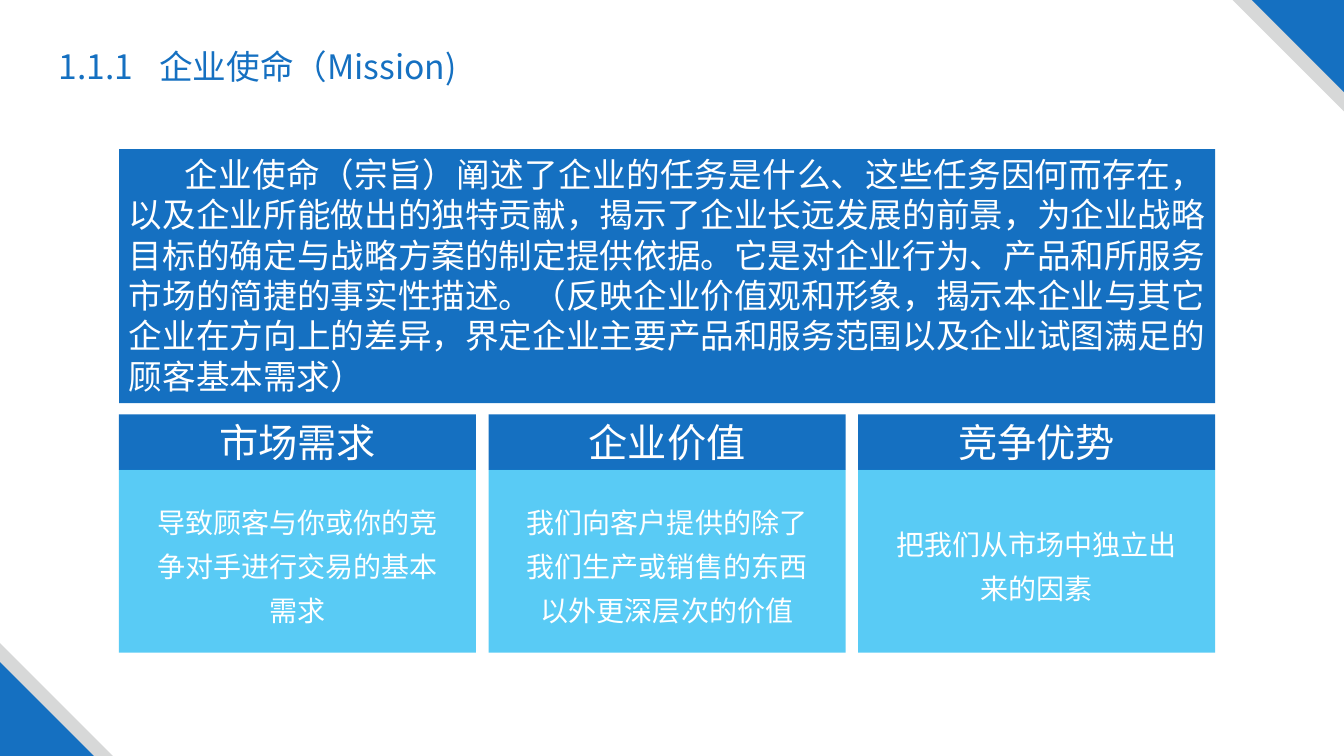
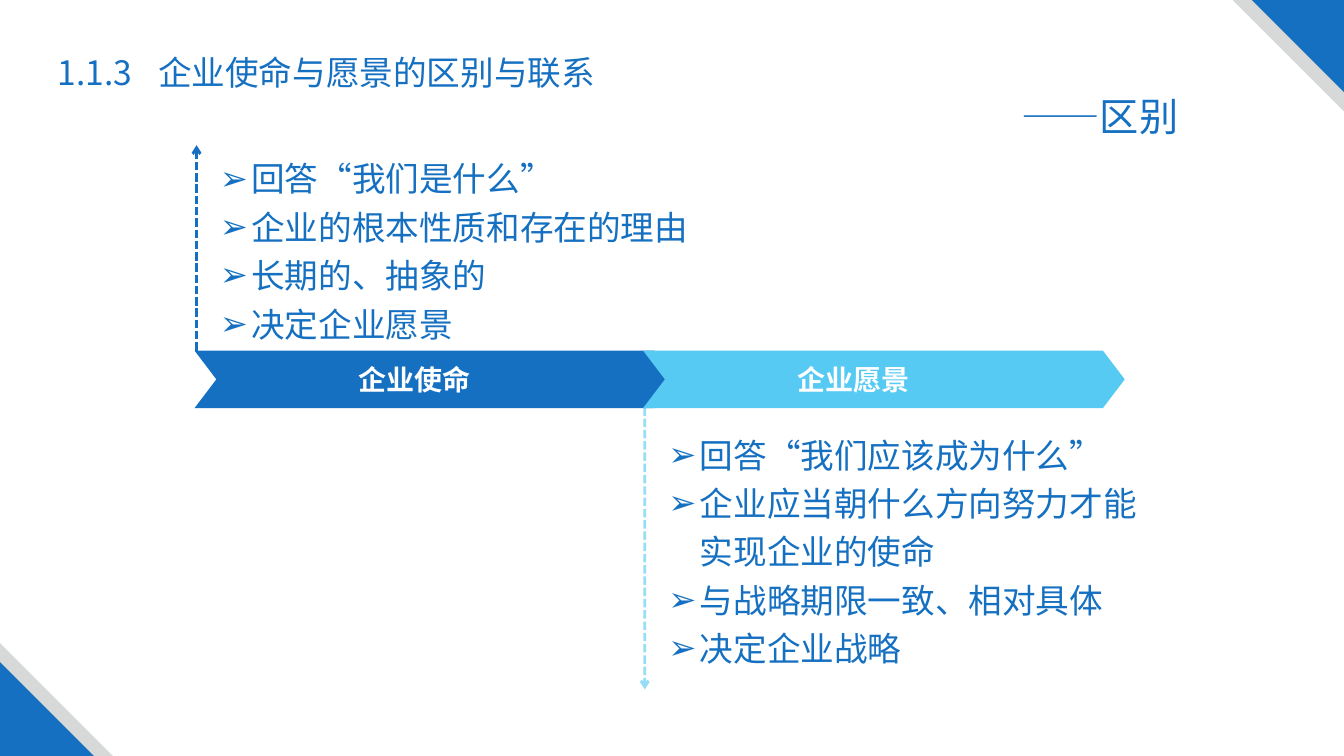
from dataclasses import dataclass

from lxml import etree
from pptx import Presentation
from pptx import slide as sl
from pptx import util as u
from pptx.dml import color as c
from pptx.enum import dml, shapes, text
from pptx.oxml import ns

BLUE = c.RGBColor(0x15, 0x70, 0xC1)
GREY = c.RGBColor(0xD7, 0xD8, 0xD8)
CYAN = c.RGBColor(0x00, 0xB0, 0xF0)
SKY = c.RGBColor(0x57, 0xCA, 0xF4)
WHITE = c.RGBColor(0xFF, 0xFF, 0xFF)
FONT = "Noto Sans CJK SC"
WIDE, HIGH = 960, 540

KIND = shapes.MSO_SHAPE
ALIGN = text.PP_ALIGN
ANCHOR = text.MSO_ANCHOR


@dataclass
class Box:
    left: float
    top: float
    width: float
    height: float


@dataclass
class Look:
    size: float
    color: c.RGBColor
    bold: bool = False
    align: ALIGN = ALIGN.LEFT
    space: float = 1.0
    anchor: ANCHOR = ANCHOR.TOP


@dataclass
class Card:
    head: str
    lines: list[str]


@dataclass
class Stage:
    name: str
    color: c.RGBColor
    left: float
    label: float
    axis: float
    start: float
    end: float
    alpha: int
    area: Box
    points: list[str]


HEAD = Look(28, WHITE, align=ALIGN.CENTER, anchor=ANCHOR.MIDDLE)
BODY = Look(20, WHITE, align=ALIGN.CENTER, space=1.3, anchor=ANCHOR.MIDDLE)
INTRO = Look(24, WHITE, align=ALIGN.JUSTIFY)
TITLE = Look(24, BLUE)
LIST = Look(24, BLUE, space=1.2)
LABEL = Look(20, WHITE, bold=True)


# Shared helpers
def add_tag(parent, tag: str, **attrs: str):
    return etree.SubElement(parent, ns.qn(tag), attrs)


def fade(item, alpha: int) -> None:
    """Make the first colour of a shape or line partly transparent."""
    tint = item.element.find(".//" + ns.qn("a:srgbClr"))
    add_tag(tint, "a:alpha", val=str(alpha * 1000))


def write(item, lines: list[str], look: Look) -> None:
    frame = item.text_frame
    frame.text = "\n".join(lines)
    frame.word_wrap = True
    frame.auto_size = text.MSO_AUTO_SIZE.NONE
    frame.vertical_anchor = look.anchor
    for para in frame.paragraphs:
        para.alignment = look.align
        para.line_spacing = look.space
        para.space_before = u.Pt(0)
        for run in para.runs:
            font = run.font
            font.name, font.size, font.bold = FONT, u.Pt(look.size), look.bold
            font.color.rgb = look.color
            add_tag(run.font._element, "a:ea", typeface=FONT)


def place(item, box: Box) -> None:
    item.left, item.top = u.Pt(box.left), u.Pt(box.top)
    item.width, item.height = u.Pt(box.width), u.Pt(box.height)


def add_form(page: sl.Slide, kind: KIND, box: Box, fill: c.RGBColor):
    form = page.shapes.add_shape(kind, 0, 0, 0, 0)
    place(form, box)
    form.shadow.inherit = False
    form.fill.solid()
    form.fill.fore_color.rgb = fill
    form.line.fill.background()
    return form


def add_arrow(page: sl.Slide, stage: Stage) -> None:
    x = u.Pt(stage.axis)
    line = page.shapes.add_connector(
        shapes.MSO_CONNECTOR.STRAIGHT, x, u.Pt(stage.start), x, u.Pt(stage.end))
    line.line.color.rgb = stage.color
    line.line.width = u.Pt(2)
    line.line.dash_style = dml.MSO_LINE.SQUARE_DOT
    add_tag(line.element.find(".//" + ns.qn("a:ln")), "a:tailEnd", type="arrow")
    add_tag(line.element.spPr, "a:effectLst")
    if stage.alpha < 100:
        fade(line, stage.alpha)


def add_page(deck, layout: int, box: Box, lines: list[str]) -> sl.Slide:
    """Start a slide with its title and the two corner bands."""
    page = deck.slides.add_slide(deck.slide_layouts[layout])
    title = page.shapes.title
    place(title, box)
    props = title.text_frame.paragraphs[0]._p.get_or_add_pPr()
    add_tag(add_tag(props, "a:tabLst"), "a:tab", pos=str(u.Pt(68.5)), algn="l")
    write(title, lines, TITLE)
    for upper, lower, color in ((79.5, 80.7, GREY), (65.8, 67, BLUE)):
        top = add_form(page, KIND.RIGHT_TRIANGLE,
                       Box(WIDE - upper, 0, upper, upper), color)
        top.rotation = 180
        add_form(page, KIND.RIGHT_TRIANGLE,
                 Box(0, HIGH - lower, lower, lower), color)
    return page


# Mission slide
MISSION = (
    "企业使命（宗旨）阐述了企业的任务是什么、这些任务因何而存在，"
    "以及企业所能做出的独特贡献，揭示了企业长远发展的前景，为企业战略"
    "目标的确定与战略方案的制定提供依据。它是对企业行为、产品和所服务"
    "市场的简捷的事实性描述。（反映企业价值观和形象，揭示本企业与其它"
    "企业在方向上的差异，界定企业主要产品和服务范围以及企业试图满足的"
    "顾客基本需求）")
CARDS = [
    Card("市场需求", ["导致顾客与你或你的竞", "争对手进行交易的基本", "需求"]),
    Card("企业价值", ["我们向客户提供的除了", "我们生产或销售的东西", "以外更深层次的价值"]),
    Card("竞争优势", ["把我们从市场中独立出", "来的因素"]),
]


def draw_mission(deck) -> None:
    page = add_page(deck, 5, Box(34.6, 29.5, 426, 36),
                    ["1.1.1\t企业使命（Mission)"])
    left, width, gap = 85, 783, 9
    intro = add_form(page, KIND.RECTANGLE, Box(left, 106.5, width, 181.5), BLUE)
    write(intro, [MISSION], INTRO)
    intro.text_frame.paragraphs[0]._p.get_or_add_pPr().set("indent", str(u.Pt(40)))

    each = (width - gap * (len(CARDS) - 1)) / len(CARDS)
    for i, card in enumerate(CARDS):
        x = left + i * (each + gap)
        head = add_form(page, KIND.RECTANGLE, Box(x, 296, each, 39.6), BLUE)
        write(head, [card.head], HEAD)
        body = add_form(page, KIND.RECTANGLE, Box(x, 335.6, each, 130.6), CYAN)
        fade(body, 65)
        write(body, card.lines, BODY)


# Difference slide
STAGES = [
    Stage("企业使命", BLUE, 139, 249, 140.4, 250.5, 103.7, 100,
          Box(149.8, 103.7, 390, 147),
          ["回答“我们是什么”", "企业的根本性质和存在的理由",
           "长期的、抽象的", "决定企业愿景"]),
    Stage("企业愿景", SKY, 459.4, 562.3, 460.6, 291, 492.5, 61,
          Box(470.2, 301, 350.6, 181.4),
          ["回答“我们应该成为什么”", "企业应当朝什么方向努力才能实现企业的使命",
           "与战略期限一致、相对具体", "决定企业战略"]),
]


def fill_list(item, stage: Stage) -> None:
    place(item, stage.area)
    write(item, stage.points, LIST)
    for para in item.text_frame.paragraphs:
        props = para._p.get_or_add_pPr()
        props.set("marL", str(u.Pt(22.5)))
        props.set("indent", str(u.Pt(-22.5)))
        add_tag(props, "a:buChar", char="➢")


def draw_difference(deck) -> None:
    page = add_page(deck, 3, Box(33.8, 33.8, 815, 70.6),
                    ["1.1.3\t企业使命与愿景的区别与联系", "——区别"])
    note = page.shapes.title.text_frame.paragraphs[1]
    note.alignment = ALIGN.RIGHT
    note.runs[0].font.size = u.Pt(28)

    # Arrows lie under the second chevron
    for stage in STAGES:
        add_arrow(page, stage)
    for i, stage in enumerate(STAGES, 1):
        band = add_form(page, KIND.CHEVRON, Box(stage.left, 250.5, 344, 41),
                        stage.color)
        band.adjustments[0] = 0.38
        fill_list(page.placeholders[i], stage)
    for stage in STAGES:
        label = page.shapes.add_textbox(0, 0, 0, 0)
        place(label, Box(stage.label, 255.6, 190.8, 31.5))
        write(label, [stage.name], LABEL)


def main() -> None:
    deck = Presentation()
    deck.slide_width, deck.slide_height = u.Pt(WIDE), u.Pt(HIGH)
    draw_mission(deck)
    draw_difference(deck)
    deck.save("out.pptx")


if __name__ == "__main__":
    main()
